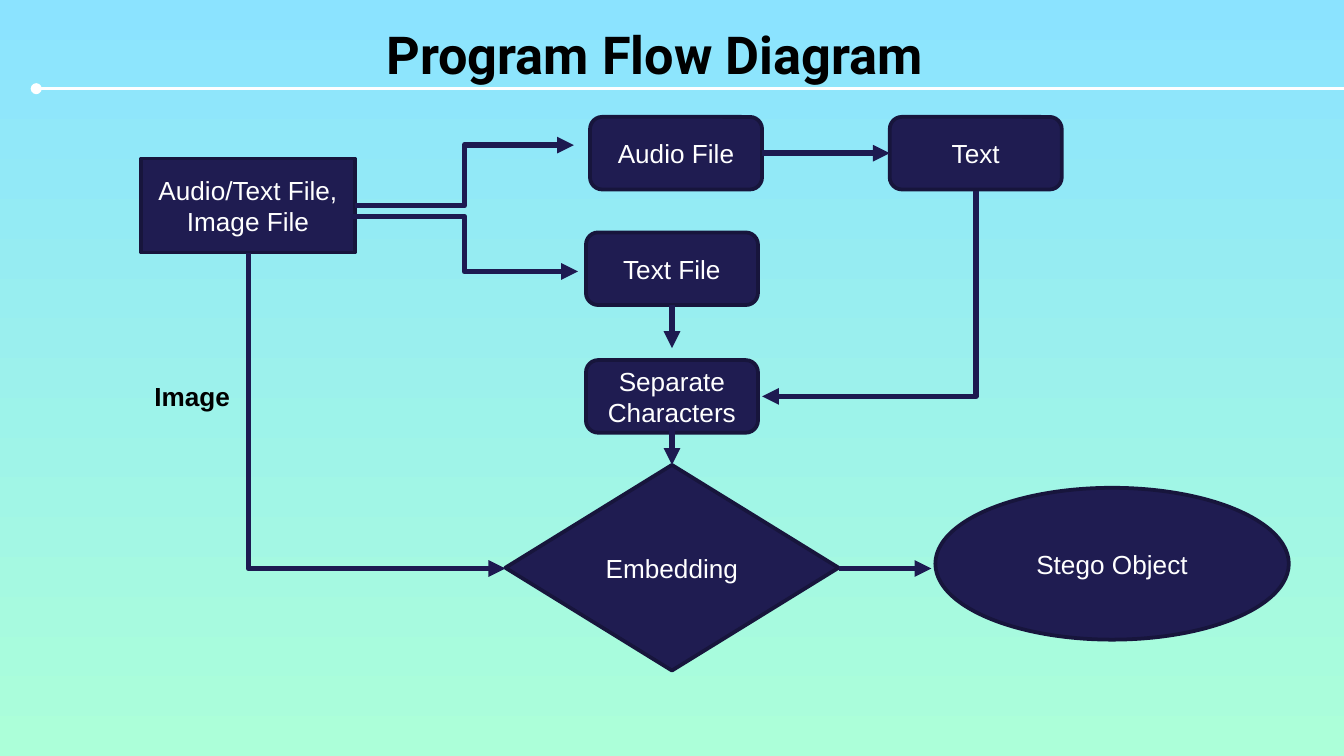
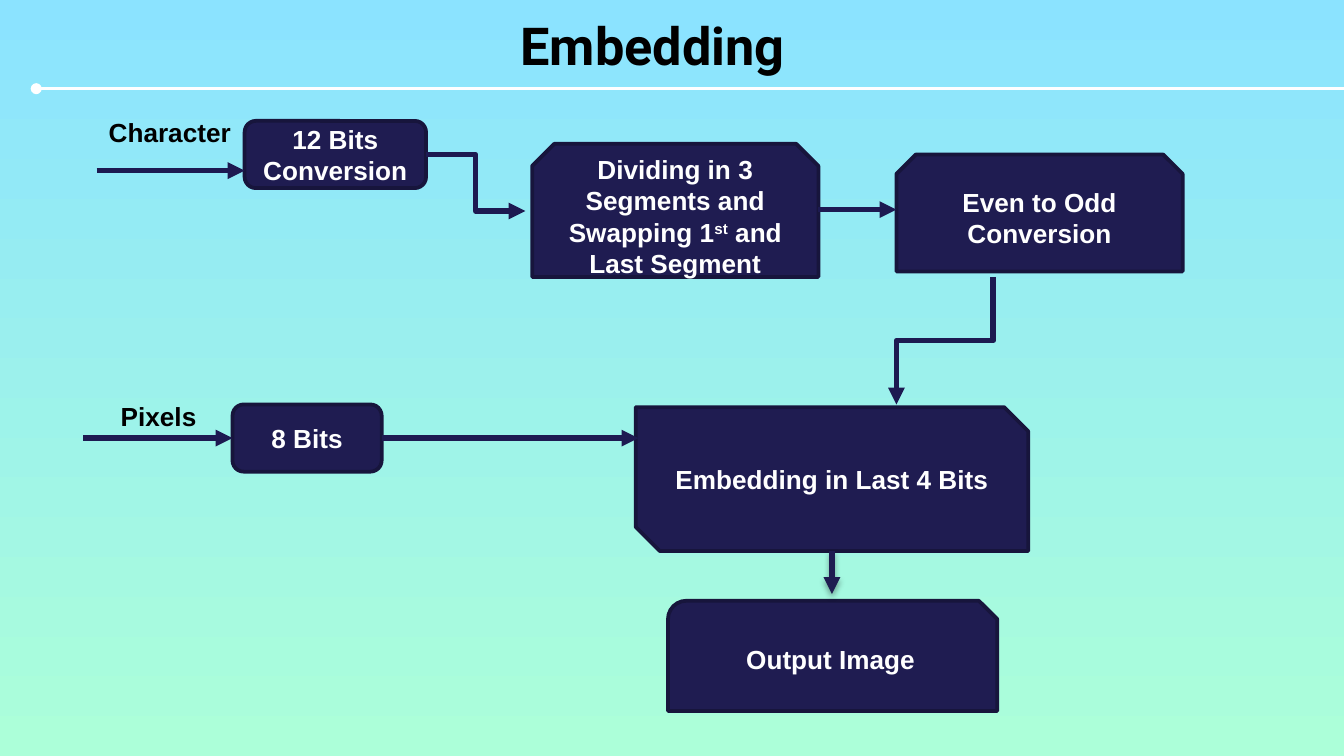
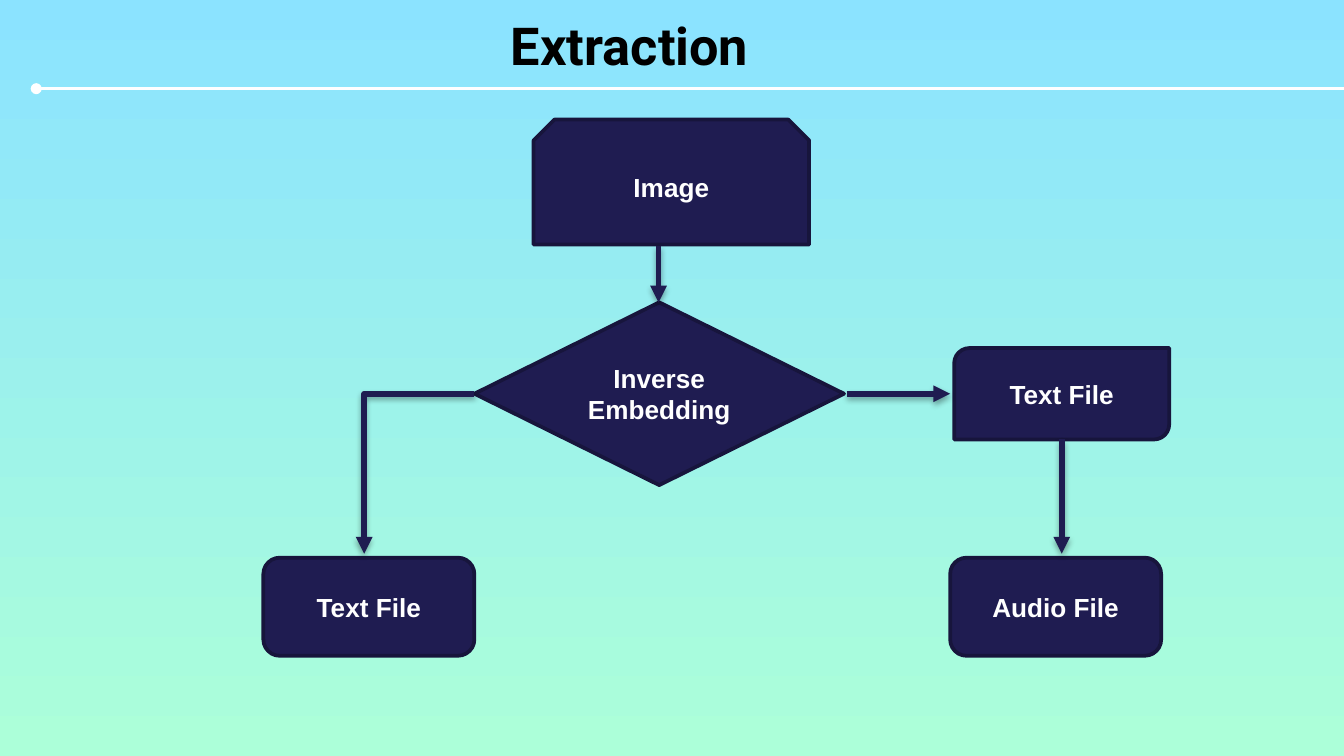
from dataclasses import dataclass

from lxml import etree
from pptx import Presentation
from pptx.dml.color import RGBColor
from pptx.enum.shapes import MSO_CONNECTOR, MSO_SHAPE
from pptx.enum.text import MSO_ANCHOR, MSO_AUTO_SIZE, PP_ALIGN
from pptx.oxml.ns import qn
from pptx.util import Pt

PX = 9144  # 100 px to the inch
WIDTH = 1000
HEIGHT = WIDTH * 9 / 16
RULE_Y = 66
COLORS = {
    "sky": "8BE3FF",
    "mint": "ACFFD9",
    "white": "FFFFFF",
    "black": "000000",
    "node": "1F1C51",
    "border": "17153C",
    "arrow": "1D1A51",
}
BODY_FONT, TITLE_FONT = "Arial", "Roboto"

RECT = MSO_SHAPE.RECTANGLE
ROUND = MSO_SHAPE.ROUNDED_RECTANGLE
ROUND_DIAG = MSO_SHAPE.ROUND_2_DIAG_RECTANGLE
SNIP_TOP = MSO_SHAPE.SNIP_2_SAME_RECTANGLE
SNIP_DIAG = MSO_SHAPE.SNIP_2_DIAG_RECTANGLE
SNIP_ROUND = MSO_SHAPE.SNIP_ROUND_RECTANGLE
DIAMOND = MSO_SHAPE.DIAMOND
ELLIPSE = MSO_SHAPE.OVAL
STRAIGHT, ELBOW = MSO_CONNECTOR.STRAIGHT, MSO_CONNECTOR.ELBOW
LEFT, CENTER = PP_ALIGN.LEFT, PP_ALIGN.CENTER
MIDDLE = MSO_ANCHOR.MIDDLE
GROW = MSO_AUTO_SIZE.SHAPE_TO_FIT_TEXT


@dataclass(frozen=True)
class Box:
    x: int
    y: int
    w: int
    h: int


@dataclass(frozen=True)
class Node:
    kind: MSO_SHAPE
    box: Box
    text: str


@dataclass(frozen=True)
class Arrow:
    """Route names the legs in order, H or V; empty means straight."""
    x1: int
    y1: int
    x2: int
    y2: int
    route: str = ""
    shadow: bool = False


@dataclass(frozen=True)
class Label:
    box: Box
    text: str


@dataclass(frozen=True)
class Flow:
    title: Label
    nodes: list[Node]
    arrows: list[Arrow]
    labels: list[Label]
    bold: bool = True
    title_inset: int = 10


FLOWS = [
    Flow(
        Label(Box(172, 12, 630, 57), "Program Flow Diagram"),
        [
            Node(RECT, Box(105, 118, 159, 70), "Audio/Text File,\nImage File"),
            Node(ROUND, Box(439, 87, 128, 54), "Audio File"),
            Node(ROUND, Box(436, 173, 128, 54), "Text File"),
            Node(ROUND, Box(662, 87, 128, 54), "Text"),
            Node(ROUND, Box(436, 268, 128, 54), "Separate Characters"),
            Node(DIAMOND, Box(376, 346, 248, 153), "Embedding"),
            Node(ELLIPSE, Box(696, 363, 263, 113), "Stego Object"),
        ],
        [
            Arrow(264, 153, 427, 108, "HVH"),
            Arrow(261, 161, 430, 202, "HVH"),
            Arrow(567, 114, 662, 114),
            Arrow(500, 227, 500, 259),
            Arrow(726, 142, 567, 295, "VH"),
            Arrow(185, 188, 376, 423, "VH"),
            Arrow(500, 315, 500, 346),
            Arrow(624, 423, 693, 423),
        ],
        [Label(Box(105, 278, 97, 34), "Image")],
        bold=False,
        title_inset=5,
    ),
    Flow(
        Label(Box(153, 0, 665, 59), "Embedding"),
        [
            Node(ROUND, Box(182, 90, 135, 50), "12 Bits Conversion"),
            Node(SNIP_TOP, Box(396, 107, 213, 99),
                 "Dividing in 3 Segments and Swapping 1^st^ and Last Segment"),
            Node(SNIP_TOP, Box(667, 115, 213, 87), "Even to Odd Conversion"),
            Node(ROUND, Box(173, 301, 111, 50), "8 Bits"),
            Node(SNIP_DIAG, Box(473, 303, 292, 107), "Embedding in Last 4 Bits"),
            Node(SNIP_ROUND, Box(497, 447, 245, 82), "Output Image"),
        ],
        [
            Arrow(72, 127, 182, 127),
            Arrow(62, 326, 173, 326),
            Arrow(317, 115, 391, 157, "HVH"),
            Arrow(609, 156, 667, 156),
            Arrow(284, 326, 475, 326),
            Arrow(739, 206, 667, 301, "VHV"),
            Arrow(619, 410, 619, 442, shadow=True),
        ],
        [
            Label(Box(71, 82, 112, 34), "Character"),
            Label(Box(80, 293, 130, 34), "Pixels"),
        ],
    ),
    Flow(
        Label(Box(136, 0, 665, 59), "Extraction"),
        [
            Node(SNIP_TOP, Box(397, 89, 205, 93), "Image"),
            Node(DIAMOND, Box(353, 225, 275, 136), "Inverse Embedding"),
            Node(ROUND, Box(196, 415, 157, 73), "Text File"),
            Node(ROUND_DIAG, Box(710, 259, 160, 68), "Text File"),
            Node(ROUND, Box(707, 415, 157, 73), "Audio File"),
        ],
        [
            Arrow(490, 183, 490, 225, shadow=True),
            Arrow(353, 293, 271, 412, "HV", shadow=True),
            Arrow(630, 293, 707, 293, shadow=True),
            Arrow(790, 327, 790, 412, shadow=True),
        ],
        [],
    ),
]


def rgb(name: str) -> RGBColor:
    return RGBColor.from_string(COLORS[name])


def px(*lengths: float) -> list[int]:
    return [round(n * PX) for n in lengths]


def frame(box: Box) -> list[int]:
    return px(box.x, box.y, box.w, box.h)


def write(tf, text: str, *, size: int = 14, font: str = BODY_FONT,
          color: str = "black", bold: bool = True, align=LEFT) -> None:
    """Newlines part paragraphs; text between carets is superscript."""
    tf.word_wrap = True
    for i, line in enumerate(text.split("\n")):
        p = tf.add_paragraph() if i else tf.paragraphs[0]
        p.alignment = align
        for j, part in enumerate(line.split("^")):
            r = p.add_run()
            r.text = part
            r.font.size, r.font.name, r.font.bold = Pt(size), font, bold
            r.font.color.rgb = rgb(color)
            if j % 2:
                r._r.get_or_add_rPr().set("baseline", "30000")


def add_line(s, kind, ends: list[int], color: str, width: float,
             cap: tuple[str, str], shadow: bool = False):
    """Cap is the end's tag and its arrowhead type."""
    c = s.shapes.add_connector(kind, *ends)
    c.line.color.rgb = rgb(color)
    c.line.width = Pt(width)
    spPr = c.element.spPr
    tag, head = cap
    etree.SubElement(spPr.find(qn("a:ln")), qn(tag), type=head)
    effects = etree.SubElement(spPr, qn("a:effectLst"))
    if shadow:
        outer = etree.SubElement(effects, qn("a:outerShdw"), blurRad="40000",
                                 dist="23000", dir="5400000", rotWithShape="0")
        clr = etree.SubElement(outer, qn("a:srgbClr"), val=COLORS["black"])
        etree.SubElement(clr, qn("a:alpha"), val="35000")
    return c


def add_arrow(s, a: Arrow) -> None:
    """An elbow that sets off downwards is a sideways one turned by 90 degrees."""
    x1, y1, x2, y2 = a.x1, a.y1, a.x2, a.y2
    turned = a.route.startswith("V")
    if turned:
        mx, my = (x1 + x2) / 2, (y1 + y2) / 2
        dx, dy = (x2 - x1) / 2, (y2 - y1) / 2
        x1, y1, x2, y2 = mx - dy, my + dx, mx + dy, my - dx
    c = add_line(s, ELBOW if a.route else STRAIGHT, px(x1, y1, x2, y2),
                 "node" if a.shadow else "arrow", 3,
                 ("a:tailEnd", "triangle"), a.shadow)
    spPr = c.element.spPr
    if turned:
        spPr.find(qn("a:xfrm")).set("rot", "5400000")
    if len(a.route) == 2:
        spPr.find(qn("a:prstGeom")).set("prst", "bentConnector2")


def add_node(s, node: Node, bold: bool) -> None:
    sp = s.shapes.add_shape(node.kind, *frame(node.box))
    sp.shadow.inherit = False
    sp.fill.solid()
    sp.fill.fore_color.rgb = rgb("node")
    sp.line.color.rgb = rgb("border")
    sp.line.width = Pt(2)
    sp.text_frame.vertical_anchor = MIDDLE
    write(sp.text_frame, node.text, color="white", bold=bold, align=CENTER)


def add_label(s, label: Label) -> None:
    tf = s.shapes.add_textbox(*frame(label.box)).text_frame
    tf.auto_size = GROW
    write(tf, label.text)


def add_title(s, title: Label, inset: int) -> None:
    tf = s.shapes.add_textbox(*frame(title.box)).text_frame
    tf.margin_top, tf.margin_bottom = px(inset, inset)
    write(tf, title.text, size=28, font=TITLE_FONT, align=CENTER)


def add_base(prs):
    """New slide with the gradient and the rule below the title."""
    s = prs.slides.add_slide(prs.slide_layouts[6])
    fill = s.background.fill
    fill.gradient()
    fill.gradient_angle = 270
    for stop, name, position in zip(fill.gradient_stops, ("sky", "mint"), (0, 1)):
        stop.color.rgb = rgb(name)
        stop.position = position
    add_line(s, STRAIGHT, px(27, RULE_Y, 1010, RULE_Y), "white", 1.5,
             ("a:headEnd", "oval"))
    return s


def add_flow(prs, flow: Flow) -> None:
    s = add_base(prs)
    add_title(s, flow.title, flow.title_inset)
    for node in flow.nodes:
        add_node(s, node, flow.bold)
    for arrow in flow.arrows:
        add_arrow(s, arrow)
    for label in flow.labels:
        add_label(s, label)


def main() -> None:
    prs = Presentation()
    prs.slide_width, prs.slide_height = px(WIDTH, HEIGHT)
    for flow in FLOWS:
        add_flow(prs, flow)
    prs.save("out.pptx")


if __name__ == "__main__":
    main()
